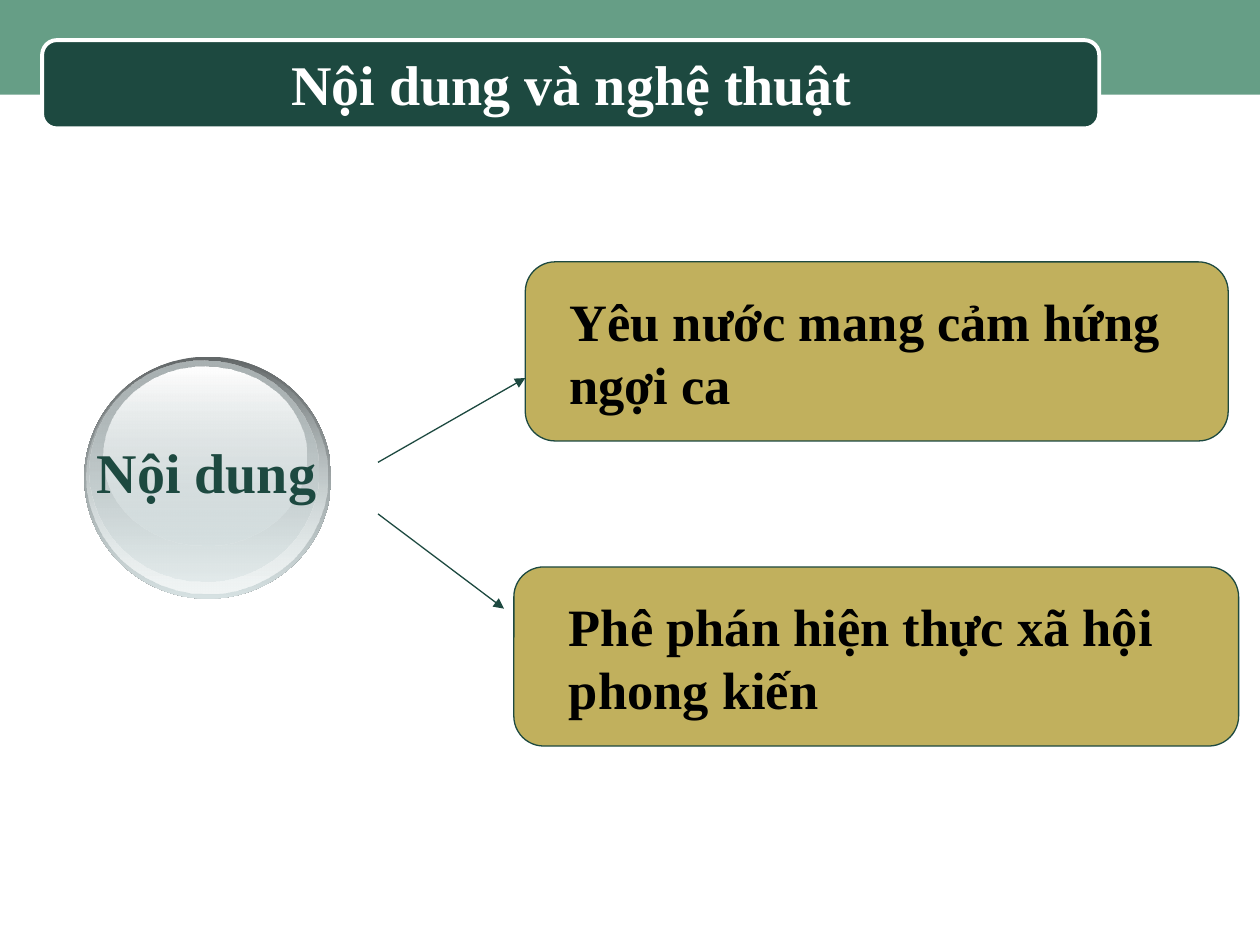
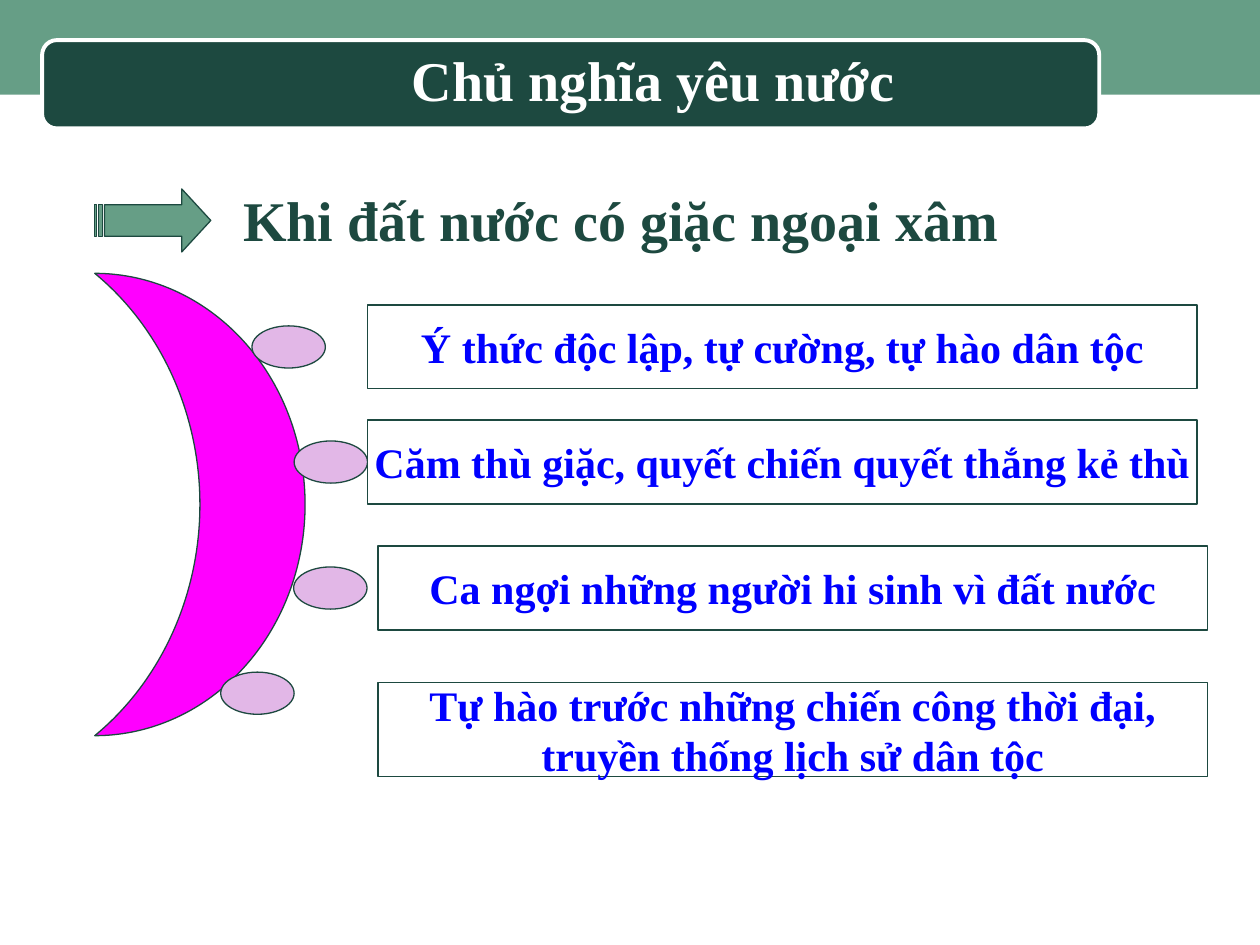
from dataclasses import dataclass

from lxml.etree import SubElement
from pptx import Presentation
from pptx.dml.color import RGBColor
from pptx.enum.shapes import MSO_CONNECTOR, MSO_SHAPE
from pptx.enum.text import MSO_ANCHOR, PP_ALIGN
from pptx.oxml.ns import qn
from pptx.util import Cm, Pt

COLOURS = {
    "band": "669E86",
    "dark": "1D4940",
    "white": "FFFFFF",
    "black": "000000",
    "card": "C1B05D",
    "moon": "FF00FF",
    "dot": "E2B7E7",
    "blue": "0000FF",
}
FORMATS = {
    "heading": {"name": "Times New Roman", "size": Pt(32), "bold": True},
    "card": {"name": "Times New Roman", "size": Pt(30), "bold": True},
    "item": {"name": "Times New Roman", "size": Pt(24), "bold": True},
}
SPHERE_LAYERS = [
    ((0, 0, 4.98, 4.88), ("636869", 100), ("D6E1E2", 100)),
    ((0.05, 0.03, 4.85, 4.75), ("D6E1E2", 0), ("F1F5F5", 100)),
    ((0.1, 0.08, 4.62, 4.45), ("AAB2B3", 100), ("D6E1E2", 48)),
    ((0.38, 0.2, 4.09, 3.61), ("FFFFFF", 100), ("D6E1E2", 38)),
]


@dataclass
class Box:
    """Hold a rectangle in centimetres."""

    left: float
    top: float
    width: float
    height: float

    def inner(self, left, top, width, height):
        """Return a box offset from this one."""
        return Box(self.left + left, self.top + top, width, height)

    def lengths(self):
        """Return the four sides as slide lengths."""
        return [Cm(side) for side in (self.left, self.top, self.width, self.height)]


def colour(name):
    """Return the named colour."""
    return RGBColor.from_string(COLOURS[name])


def add_outline(shapes, kind, box, fill=None, line=None, weight=0.75):
    """Add a preset shape with plain fill and line."""
    shape = shapes.add_shape(kind, *box.lengths())
    shape.shadow.inherit = False
    if fill:
        shape.fill.solid()
        shape.fill.fore_color.rgb = colour(fill)
    if line:
        shape.line.color.rgb = colour(line)
        shape.line.width = Pt(weight)
    else:
        shape.line.fill.background()
    return shape


def write(frame, lines, style, ink, align=PP_ALIGN.LEFT, anchor=MSO_ANCHOR.TOP, wrap=True):
    """Write one paragraph per line into a text frame."""
    layout = {"word_wrap": wrap, "vertical_anchor": anchor}
    for key, value in layout.items():
        setattr(frame, key, value)
    for index, line in enumerate(lines):
        para = frame.add_paragraph() if index else frame.paragraphs[0]
        para.alignment = align
        span = para.add_run()
        span.text = line
        span.font.color.rgb = colour(ink)
        for key, value in FORMATS[style].items():
            setattr(span.font, key, value)


def add_label(page, box, text, style, ink, **options):
    """Add a text box holding one paragraph."""
    label = page.shapes.add_textbox(*box.lengths())
    write(label.text_frame, [text], style, ink, **options)


def add_header(page, box):
    """Draw the band and the title plate."""
    add_outline(page.shapes, MSO_SHAPE.RECTANGLE, box, "band")
    plate = box.inner(0.85, 0.81, 21.31, 1.78)
    add_outline(page.shapes, MSO_SHAPE.ROUNDED_RECTANGLE, plate, "dark", "white", 2.25)


def add_sphere(page, box, text):
    """Draw a glass sphere from gradient layers with a label."""
    group = page.shapes.add_group_shape()
    for place, *ends in SPHERE_LAYERS:
        layer = add_outline(group.shapes, MSO_SHAPE.OVAL, box.inner(*place))
        layer.fill.gradient()
        layer.fill.gradient_angle = 270
        for stop, (shade, _) in zip(layer.fill.gradient_stops, ends):
            stop.color.rgb = RGBColor.from_string(shade)
        shades = layer.element.spPr.iter(qn("a:srgbClr"))
        for node, (_, opacity) in zip(list(shades), ends):
            if opacity < 100:
                SubElement(node, qn("a:alpha")).set("val", str(opacity * 1000))
    add_label(page, box.inner(0, 1.5, 5.28, 1.63), text, "heading", "dark")


def add_arrow(page, box, start, end):
    """Draw a line with a triangular head between two points of the box."""
    points = [Cm(value) for x, y in (start, end) for value in (box.left + x, box.top + y)]
    arrow = page.shapes.add_connector(MSO_CONNECTOR.STRAIGHT, *points)
    arrow.line.color.rgb = colour("dark")
    arrow.line.width = Pt(0.75)
    properties = arrow.element.spPr
    SubElement(properties.find(qn("a:ln")), qn("a:tailEnd")).set("type", "triangle")
    SubElement(properties, qn("a:effectLst"))


def add_card(page, box, indent, text):
    """Draw a rounded card with its statement."""
    add_outline(page.shapes, MSO_SHAPE.ROUNDED_RECTANGLE, box, "card", "dark")
    place = box.inner(indent, 0.43, box.width - indent - 0.3, 2.79)
    add_label(page, place, text, "card", "black")


def add_item(page, box, dot, lines):
    """Draw a framed line of text and its oval marker."""
    add_outline(page.shapes, MSO_SHAPE.OVAL, box.inner(*dot, 1.48, 0.85), "dot", "dark")
    frame = add_outline(page.shapes, MSO_SHAPE.RECTANGLE, box, "white", "dark")
    write(frame.text_frame, lines, "item", "blue",
          align=PP_ALIGN.CENTER, anchor=MSO_ANCHOR.MIDDLE, wrap=False)


def build_content_page(page, box):
    """Show the two themes that branch from the content."""
    add_label(page, Box(1.27, 0.89, 20.52, 1.57), "Nội dung và nghệ thuật", "heading", "white",
              align=PP_ALIGN.CENTER, anchor=MSO_ANCHOR.MIDDLE)
    add_sphere(page, box.inner(0, 1.91, 4.98, 4.88), "Nội dung")
    add_arrow(page, box, (5.92, 4.04), (8.89, 2.34))
    add_arrow(page, box, (5.92, 5.08), (8.46, 6.99))
    add_card(page, box.inner(8.89, 0, 14.17, 3.61), 0.64, "Yêu nước mang cảm hứng ngợi ca")
    add_card(page, box.inner(8.66, 6.15, 14.61, 3.61), 0.86, "Phê phán hiện thực xã hội phong kiến")


def build_patriotism_page(page, box):
    """List the signs of patriotism around a crescent."""
    add_label(page, Box(8.05, 0.79, 10.54, 1.63), "Chủ nghĩa yêu nước", "heading", "white")
    add_label(page, box.inner(2.74, -0.2, 15.88, 1.63), "Khi đất nước có giặc ngoại xâm",
              "heading", "dark")
    arrow = add_outline(page.shapes, MSO_SHAPE.STRIPED_RIGHT_ARROW,
                        box.inner(0, 0, 2.34, 1.27), "band", "dark")
    arrow.adjustments[1] = 0.46
    moon = add_outline(page.shapes, MSO_SHAPE.MOON, box.inner(0, 1.7, 4.24, 9.32), "moon", "dark")
    moon.rotation = 180
    items = [
        (5.5, 2.34, 1.69, (-2.33, 0.42), ["Ý thức độc lập, tự cường, tự hào dân tộc"]),
        (5.5, 4.66, 1.69, (-1.48, 0.42), ["Căm thù giặc, quyết chiến quyết thắng kẻ thù"]),
        (5.71, 7.2, 1.69, (-1.7, 0.42), ["Ca ngợi những người hi sinh vì đất nước"]),
        (5.71, 9.95, 1.9, (-3.17, -0.21),
         ["Tự hào trước những chiến công thời đại,", "truyền thống lịch sử dân tộc"]),
    ]
    for left, top, height, dot, lines in items:
        add_item(page, box.inner(left, top, 16.72, height), dot, lines)


def main():
    """Build both slides and save the deck."""
    deck = Presentation()
    deck.slide_width, deck.slide_height = Cm(25.4), Cm(19.05)
    pages = [
        (build_content_page, Box(1.7, 5.28, 23.27, 9.76)),
        (build_patriotism_page, Box(1.91, 3.81, 22.43, 11.85)),
    ]
    for build, body in pages:
        page = deck.slides.add_slide(deck.slide_layouts[6])
        add_header(page, Box(0, 0, 25.4, 1.91))
        build(page, body)
    deck.save("out.pptx")


if __name__ == "__main__":
    main()
